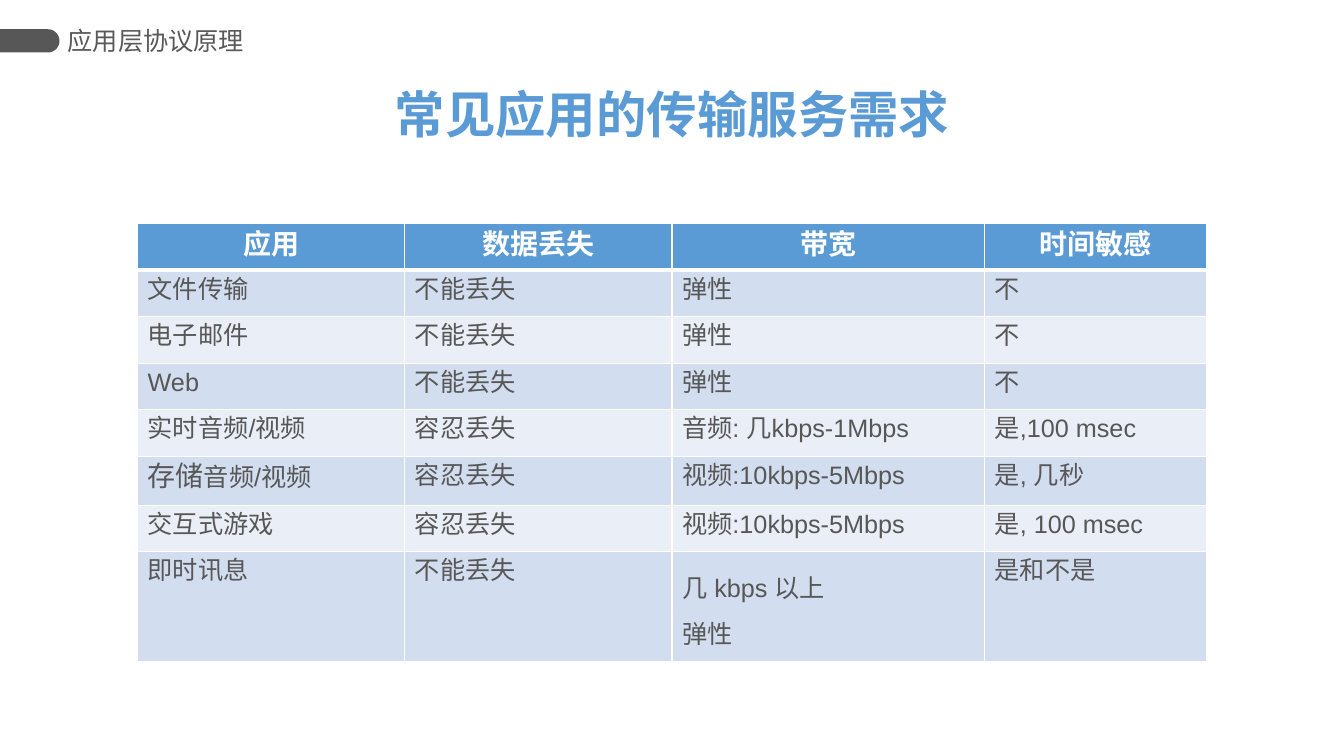
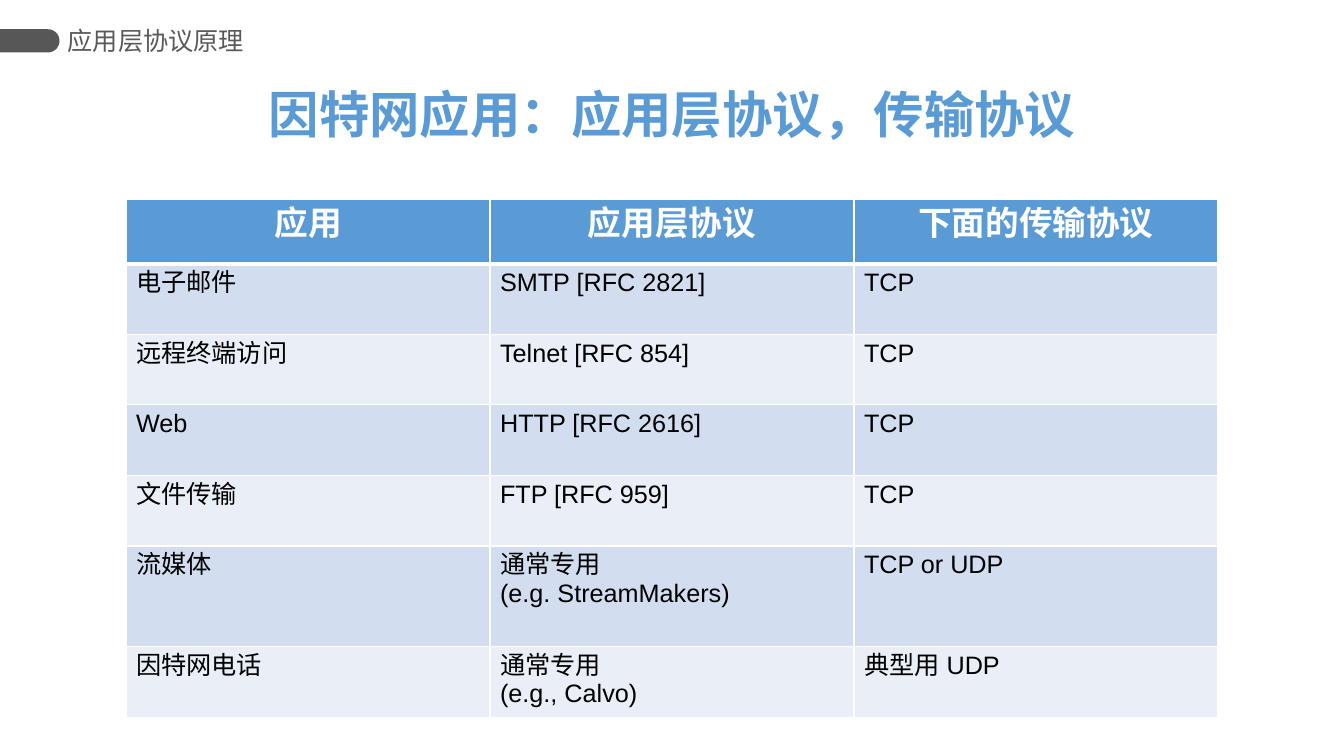
import math
from dataclasses import dataclass
from typing import Optional, Union

import lxml.etree
import pptx
import pptx.dml.color
import pptx.enum.shapes
import pptx.enum.text
import pptx.oxml.ns
import pptx.util

WIDTH, HEIGHT = 13.33, 7.5
FONT = "Arial"
COLORS = {
    "accent": "5B9BD5",
    "tab": "575757",
    "section": "595959",
    "white": "FFFFFF",
    "black": "000000",
    "band_dark": "D2DEEF",
    "band_light": "EAEFF7",
}
SECTION = "应用层协议原理"
CENTER = pptx.enum.text.PP_ALIGN.CENTER


@dataclass(frozen=True)
class Span:
    text: str
    size: Optional[float] = None


@dataclass(frozen=True)
class Entry:
    """Cell text that needs its own run sizes or line spacing."""
    lines: tuple[tuple[Span, ...], ...]
    spacing: Optional[float] = None


Content = Union[str, Entry]


@dataclass(frozen=True)
class Comparison:
    """A titled table; lengths are percentages of the slide."""
    title: str
    top: float
    columns: tuple[float, ...]
    rows: tuple[float, ...]
    header_size: float
    body_color: str
    cells: tuple[tuple[Content, ...], ...]


COMPARISONS = (
    Comparison(
        title="常见应用的传输服务需求",
        top=29.6,
        columns=(19.88, 19.88, 23.26, 16.5),
        rows=(6.15,) * 5 + (6.5, 6.15, 14.5),
        header_size=20,
        body_color="tab",
        cells=(
            ("应用", "数据丢失", "带宽", "时间敏感"),
            ("文件传输", "不能丢失", "弹性", "不"),
            ("电子邮件", "不能丢失", "弹性", "不"),
            ("Web", "不能丢失", "弹性", "不"),
            ("实时音频/视频", "容忍丢失", "音频: 几kbps-1Mbps", "是,100 msec"),
            (Entry(((Span("存储", 20), Span("音频/视频")),)),
             "容忍丢失", "视频:10kbps-5Mbps", "是, 几秒"),
            ("交互式游戏", "容忍丢失", "视频:10kbps-5Mbps", "是, 100 msec"),
            ("即时讯息", "不能丢失",
             Entry(((Span("几 kbps 以上"),), (Span("弹性"),)), spacing=32.8),
             "是和不是"),
        ),
    ),
    Comparison(
        title="因特网应用：应用层协议，传输协议",
        top=26.4,
        columns=(27.08,) * 3,
        rows=(8.5,) + (9.33,) * 4 + (13.33, 9.33),
        header_size=24,
        body_color="black",
        cells=(
            ("应用", "应用层协议", "下面的传输协议"),
            ("电子邮件", "SMTP [RFC 2821]", "TCP"),
            ("远程终端访问", "Telnet [RFC 854]", "TCP"),
            ("Web", "HTTP [RFC 2616]", "TCP"),
            ("文件传输", "FTP [RFC 959]", "TCP"),
            ("流媒体", "通常专用\n(e.g. StreamMakers)", "TCP or UDP"),
            ("因特网电话", "通常专用\n(e.g., Calvo)", "典型用 UDP"),
        ),
    ),
)


def across(percent: float) -> int:
    return pptx.util.Inches(WIDTH * percent / 100)


def down(percent: float) -> int:
    return pptx.util.Inches(HEIGHT * percent / 100)


def rgb(name: str) -> pptx.dml.color.RGBColor:
    return pptx.dml.color.RGBColor.from_string(COLORS[name])


def write(frame, content: Content, *, size: float, color: str,
          bold: bool = False, align=None) -> None:
    """Fill a text frame, one paragraph per line."""
    if isinstance(content, str):
        content = Entry(tuple((Span(line),) for line in content.split("\n")))
    for index, line in enumerate(content.lines):
        paragraph = frame.add_paragraph() if index else frame.paragraphs[0]
        paragraph.alignment = align
        if content.spacing:
            paragraph.line_spacing = pptx.util.Pt(content.spacing)
        for span in line:
            run = paragraph.add_run()
            run.text = span.text
            run.font.size = pptx.util.Pt(span.size or size)
            run.font.bold = bold
            run.font.color.rgb = rgb(color)
            run.font.name = FONT
            east_asian = lxml.etree.SubElement(
                run.font._element, pptx.oxml.ns.qn("a:ea"))
            east_asian.set("typeface", FONT)


def draw_section(slide) -> None:
    # Tab at the left edge with a half-round end
    top, height, length = down(3.87), down(3.07), across(4.43)
    radius = height / 2
    turns = [math.pi * (step / 24 - 0.5) for step in range(25)]
    curve = [(length - radius + radius * math.cos(turn),
              top + radius + radius * math.sin(turn)) for turn in turns]
    outline = slide.shapes.build_freeform(0, top)
    outline.add_line_segments(curve + [(0, top + height)], close=True)
    tab = outline.convert_to_shape()
    tab.shadow.inherit = False
    tab.fill.solid()
    tab.fill.fore_color.rgb = rgb("tab")
    tab.line.fill.background()

    # Section name beside the tab
    section = slide.shapes.add_textbox(
        across(5.03), down(2.53), across(17.5), down(5.6)).text_frame
    section.word_wrap = True
    section.margin_left = section.margin_right = 0
    section.vertical_anchor = pptx.enum.text.MSO_ANCHOR.MIDDLE
    write(section, SECTION, size=18, color="section")


def draw_title(slide, title: str) -> None:
    width = 3.79 * len(title) + 1.5
    heading = slide.shapes.add_textbox(
        across((100 - width) / 2), down(10.4), across(width), down(9.47)).text_frame
    heading.word_wrap = False
    write(heading, title, size=36, color="accent", bold=True, align=CENTER)


def set_borders(cell, **widths: float) -> None:
    """Draw white cell borders; widths in points, keyed by side."""
    properties = cell._tc.get_or_add_tcPr()
    for side, width in widths.items():
        border = lxml.etree.SubElement(
            properties, pptx.oxml.ns.qn(f"a:ln{side}"), w=str(pptx.util.Pt(width)))
        paint = lxml.etree.SubElement(border, pptx.oxml.ns.qn("a:solidFill"))
        lxml.etree.SubElement(
            paint, pptx.oxml.ns.qn("a:srgbClr"), val=COLORS["white"])


def draw_table(slide, comparison: Comparison) -> None:
    width, height = sum(comparison.columns), sum(comparison.rows)
    table = slide.shapes.add_table(
        len(comparison.rows), len(comparison.columns),
        across((100 - width) / 2), down(comparison.top),
        across(width), down(height)).table
    table.first_row = table.horz_banding = False
    for column, share in zip(table.columns, comparison.columns):
        column.width = across(share)
    for row, share in zip(table.rows, comparison.rows):
        row.height = down(share)

    for r, entries in enumerate(comparison.cells):
        is_header = r == 0
        band = "accent" if is_header else ("band_light", "band_dark")[r % 2]
        for c, content in enumerate(entries):
            cell = table.cell(r, c)
            set_borders(cell, L=1, R=1, T=3 if r == 1 else 1, B=3 if is_header else 1)
            cell.fill.solid()
            cell.fill.fore_color.rgb = rgb(band)
            write(cell.text_frame, content,
                  size=comparison.header_size if is_header else 18,
                  color="white" if is_header else comparison.body_color,
                  bold=is_header, align=CENTER if is_header else None)


def main() -> None:
    deck = pptx.Presentation()
    deck.slide_width, deck.slide_height = across(100), down(100)
    for comparison in COMPARISONS:
        slide = deck.slides.add_slide(deck.slide_layouts[6])
        draw_section(slide)
        draw_title(slide, comparison.title)
        draw_table(slide, comparison)
    deck.save("out.pptx")


if __name__ == "__main__":
    main()
